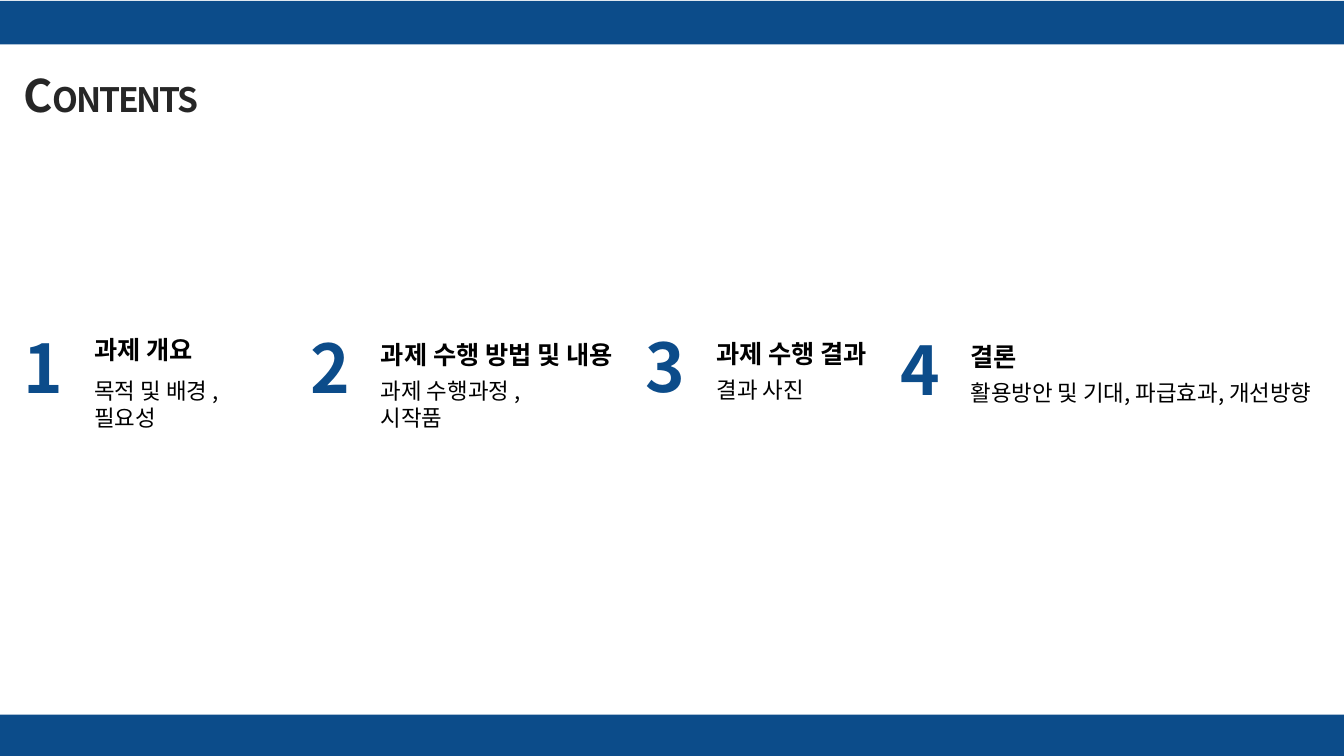
from lxml import etree
from pptx import Presentation
from pptx.dml.color import RGBColor
from pptx.enum.shapes import MSO_SHAPE
from pptx.enum.text import MSO_ANCHOR, MSO_AUTO_SIZE, PP_ALIGN
from pptx.oxml.ns import qn
from pptx.util import Inches, Pt

RECT = MSO_SHAPE.RECTANGLE
TOP = MSO_ANCHOR.TOP
GROW = MSO_AUTO_SIZE.SHAPE_TO_FIT_TEXT
LEFT = PP_ALIGN.LEFT

FONT = "Noto Sans CJK KR"
COLORS = {"blue": "0C4C8A", "ink": "262626", "black": "000000"}
WIDE, HIGH = Inches(13.33), Inches(7.5)
COLS, ROWS = 96, 54

ITEMS = [
    ("1", 1, 22.97, "과제 개요", 8.78, 0.57, "목적 및 배경 , 필요성", 14.4),
    ("2", 21.46, 22.97, "과제 수행 방법 및 내용", 18.8, 0.94,
     "과제 수행과정 , 시작품", 15.6),
    ("3", 45.43, 22.9, "과제 수행 결과", 12.67, 0.94, "결과 사진", 8.4),
    ("4", 63.58, 23.11, "결론", 4.9, 0.94,
     "활용방안 및 기대, 파급효과,\u00a0개선방향", 26.78),
]


def grid(col, row, wide, high):
    """Turn grid columns and rows into slide lengths."""
    return (int(WIDE * col / COLS), int(HIGH * row / ROWS),
            int(WIDE * wide / COLS), int(HIGH * high / ROWS))


def add_run(para, text, size, color, bold=False, space=0):
    """Add one styled run to a paragraph."""
    run = para.add_run()
    run.text = text
    font = run.font
    font.size, font.bold, font.name = Pt(size), bold, FONT
    font.color.rgb = RGBColor.from_string(COLORS[color])
    props = run._r.get_or_add_rPr()
    etree.SubElement(props, qn("a:ea")).set("typeface", FONT)
    if space:
        props.set("spc", str(space))


def add_bar(slide, row, high):
    """Draw a full-width blue bar."""
    bar = slide.shapes.add_shape(RECT, *grid(0, row, COLS, high))
    bar.shadow.inherit = False
    bar.fill.solid()
    bar.fill.fore_color.rgb = RGBColor.from_string(COLORS["blue"])
    bar.line.fill.background()


def add_label(slide, place, text, size, color, wrap=False, **style):
    """Place a text box that holds one run."""
    box = slide.shapes.add_textbox(*grid(*place))
    frame = box.text_frame
    frame.word_wrap, frame.auto_size = wrap, GROW
    add_run(frame.paragraphs[0], text, size, color, **style)


def set_title(slide):
    """Move the title and fill it with large and small capitals."""
    title = slide.shapes.title
    title.left, title.top, title.width, title.height = grid(0.86, 4.39, 14.69, 4.68)
    frame = title.text_frame
    frame.word_wrap, frame.auto_size = True, GROW
    frame.vertical_anchor = TOP
    frame.margin_left = frame.margin_right = Inches(0.11)
    frame.margin_top = frame.margin_bottom = Inches(0.06)
    para = frame.paragraphs[0]
    para.alignment = LEFT
    for text, size in (("C", 32), ("ONTENTS", 24)):
        add_run(para, text, size, "ink", bold=True, space=-150)


def add_item(slide, number, col, row, head, wide, drop, note, span):
    """Add a numbered entry with its heading and note."""
    side = col + 5.04
    add_label(slide, (col, row, 4.25, 6.55), number, 48, "blue",
              bold=True, space=-150)
    add_label(slide, (side, row + drop, wide, 2.88), head, 18, "black", bold=True)
    add_label(slide, (side, row + 3.6, span, 2.66), note, 16, "black", wrap=True)


def main():
    """Build and save the contents slide."""
    deck = Presentation()
    deck.slide_width, deck.slide_height = WIDE, HIGH
    slide = deck.slides.add_slide(deck.slide_layouts[5])
    add_bar(slide, 0.07, 3.1)
    add_bar(slide, 51.05, 2.95)
    set_title(slide)
    for item in ITEMS:
        add_item(slide, *item)
    deck.save("out.pptx")


if __name__ == "__main__":
    main()
